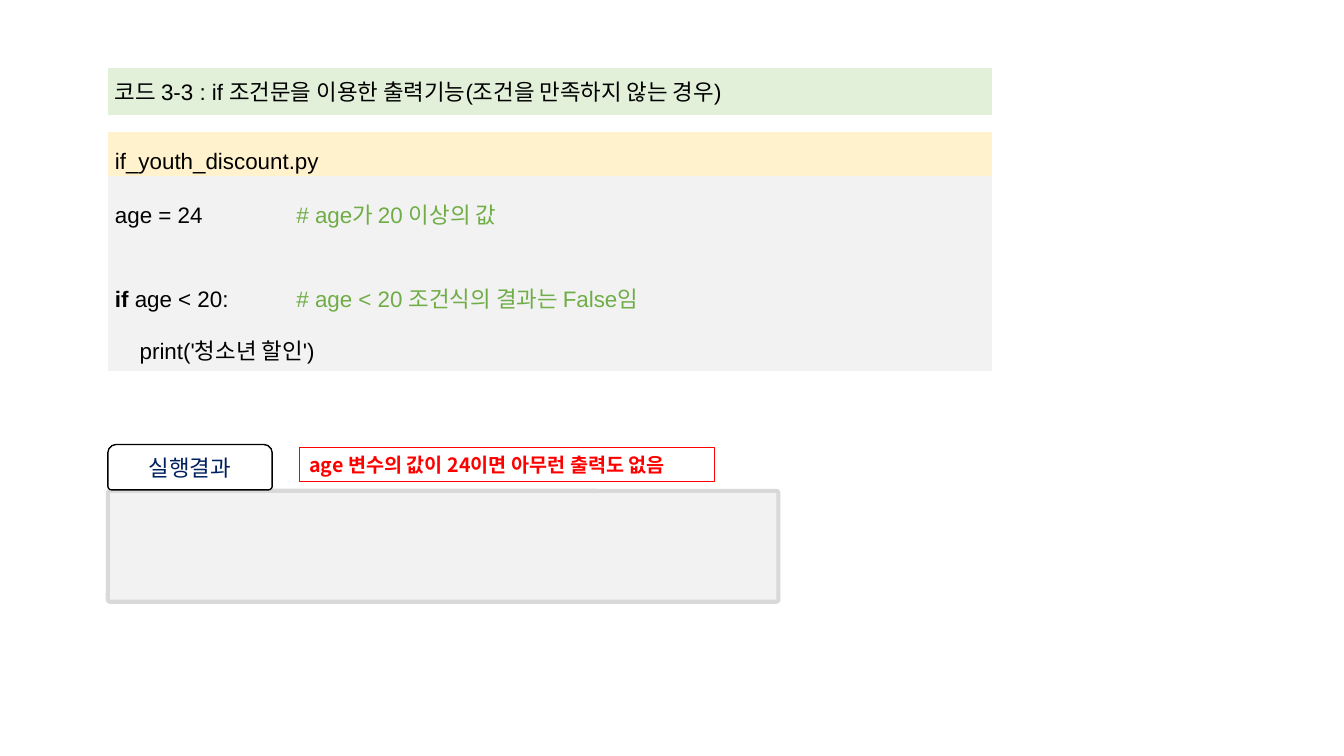
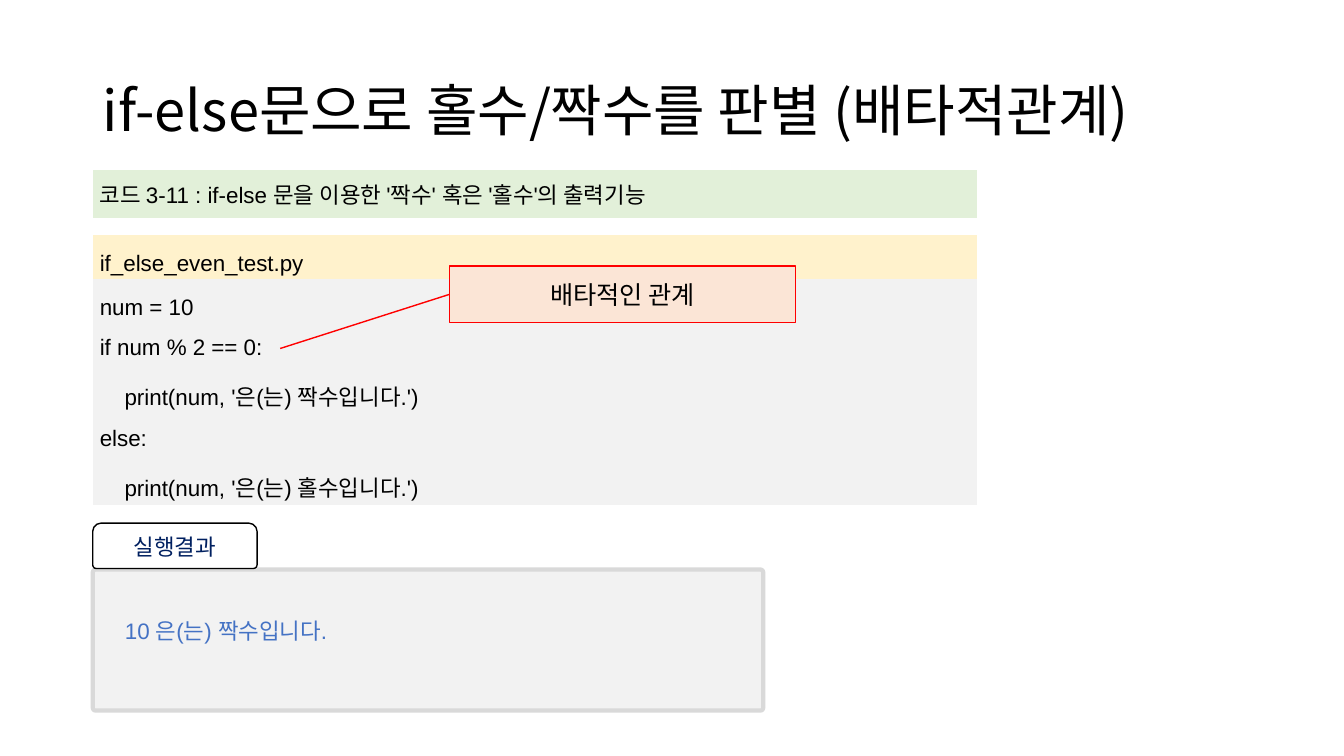
from lxml.etree import SubElement
from pptx import Presentation
from pptx.dml.color import RGBColor
from pptx.enum.shapes import MSO_SHAPE
from pptx.enum.text import MSO_ANCHOR, MSO_AUTO_SIZE, PP_ALIGN
from pptx.oxml.ns import qn
from pptx.util import Inches, Pt

BLACK = RGBColor(0x00, 0x00, 0x00)
WHITE = RGBColor(0xFF, 0xFF, 0xFF)
RED = RGBColor(0xFF, 0x00, 0x00)
NAVY = RGBColor(0x00, 0x20, 0x60)
BLUE = RGBColor(0x44, 0x72, 0xC4)
COMMENT_GREEN = RGBColor(0x70, 0xAD, 0x47)
CAPTION_GREEN = RGBColor(0xE2, 0xF0, 0xD9)
FILE_YELLOW = RGBColor(0xFF, 0xF2, 0xCC)
PANEL_GRAY = RGBColor(0xF2, 0xF2, 0xF2)
BORDER_GRAY = RGBColor(0xD9, 0xD9, 0xD9)
CALLOUT_PEACH = RGBColor(0xFB, 0xE5, 0xD6)

CODE_FONT = "Arial"
KOREAN_FONT = "Noto Sans CJK KR"
NO_GRID_STYLE = "{2D5ABB26-0587-4C30-8999-92F81FD0307C}"

CODE = {"size": Pt(16), "name": CODE_FONT}
KEYWORD = {**CODE, "bold": True}
COMMENT = {**CODE, "color": COMMENT_GREEN}
OUTPUT = {**CODE, "color": BLUE}
TITLE = {"size": Pt(40), "name": KOREAN_FONT}
TAB_LABEL = {"size": Pt(16), "name": KOREAN_FONT, "color": NAVY}
NOTE = {"size": Pt(14), "name": KOREAN_FONT, "color": RED, "bold": True}
CALLOUT = {"size": Pt(18), "name": KOREAN_FONT}

LOOSE = {"line_spacing": 1.5}
JUSTIFIED = {"line_spacing": 1.6, "alignment": PP_ALIGN.JUSTIFY}
CENTERED = {"alignment": PP_ALIGN.CENTER}

TABLE_WIDTH = 8.77
ROW_HEIGHTS = (0.47, 0.17, 0.43, 1.94)
TAB_WIDTH, TAB_HEIGHT = 1.63, 0.45
PANEL_OFFSET, PANEL_WIDTH = 0.46, 6.65
COMMENT_STOP = 1.8


def set_attributes(target, values):
    for name, value in values.items():
        setattr(target, name, value)


def add_span(para, text, style):
    span = para.add_run()
    span.text = text
    values = dict(style)
    span.font.color.rgb = values.pop("color", BLACK)
    set_attributes(span.font, values)
    SubElement(span.font._element, qn("a:ea")).set("typeface", KOREAN_FONT)


def add_tab_stop(para, inches):
    tabs = SubElement(para._p.get_or_add_pPr(), qn("a:tabLst"))
    stop = SubElement(tabs, qn("a:tab"))
    stop.set("pos", str(Inches(inches)))
    stop.set("algn", "l")


def write_lines(frame, lines):
    """Write lines given as (paragraph format, [(text, style), ...])."""
    for index, (layout, spans) in enumerate(lines):
        para = frame.add_paragraph() if index else frame.paragraphs[0]
        set_attributes(para, layout)
        if any("\t" in text for text, _ in spans):
            add_tab_stop(para, COMMENT_STOP)
        for text, style in spans:
            add_span(para, text, style)


def add_box(slide, kind, place, fill, line, width, lines=()):
    box = slide.shapes.add_shape(kind, *map(Inches, place))
    box.shadow.inherit = False
    box.fill.solid()
    box.fill.fore_color.rgb = fill
    box.line.color.rgb = line
    box.line.width = Pt(width)
    box.text_frame.vertical_anchor = MSO_ANCHOR.MIDDLE
    write_lines(box.text_frame, lines)
    return box


def set_adjustments(box, values):
    for index, value in enumerate(values):
        box.adjustments[index] = value


def add_code_table(slide, left, top, caption, file_name, code_lines):
    frame = slide.shapes.add_table(
        len(ROW_HEIGHTS), 1, Inches(left), Inches(top),
        Inches(TABLE_WIDTH), Inches(sum(ROW_HEIGHTS)))
    table = frame.table
    table.first_row = table.horz_banding = False
    table._tbl.tblPr.find(qn("a:tableStyleId")).text = NO_GRID_STYLE
    contents = (
        (CAPTION_GREEN, [({}, [(caption, CODE)])]),
        (None, []),
        (FILE_YELLOW, [(JUSTIFIED, [(file_name, CODE)])]),
        (PANEL_GRAY, code_lines),
    )
    for row, height, (fill, lines) in zip(table.rows, ROW_HEIGHTS, contents):
        row.height = Inches(height)
        cell = row.cells[0]
        cell.vertical_anchor = MSO_ANCHOR.MIDDLE
        cell.margin_left = cell.margin_right = Inches(0.07)
        cell.margin_top = cell.margin_bottom = Inches(0.02)
        if fill is None:
            cell.fill.background()
            # A small end mark lets the spacer row keep its height.
            cell.text_frame.paragraphs[0]._p.get_or_add_endParaRPr().set("sz", "500")
        else:
            cell.fill.solid()
            cell.fill.fore_color.rgb = fill
            write_lines(cell.text_frame, lines)


def add_result_panel(slide, left, top, height):
    panel = add_box(slide, MSO_SHAPE.ROUNDED_RECTANGLE,
                    (left, top + PANEL_OFFSET, PANEL_WIDTH, height),
                    PANEL_GRAY, BORDER_GRAY, 3)
    set_adjustments(panel, [0.02])
    tab = add_box(slide, MSO_SHAPE.ROUND_2_SAME_RECTANGLE,
                  (left, top, TAB_WIDTH, TAB_HEIGHT), WHITE, BLACK, 1,
                  [(CENTERED, [("실행결과", TAB_LABEL)])])
    set_adjustments(tab, [0.18, 0.08])


def add_note(slide, place, text):
    note = add_box(slide, MSO_SHAPE.RECTANGLE, place, WHITE, RED, 0.75,
                   [({"alignment": PP_ALIGN.LEFT}, [(text, NOTE)])])
    set_attributes(note.text_frame, {"word_wrap": False,
                                     "vertical_anchor": MSO_ANCHOR.TOP})


def add_output(slide, place, text):
    box = slide.shapes.add_textbox(*map(Inches, place))
    box.text_frame.word_wrap = True
    write_lines(box.text_frame, [(LOOSE, [(text, OUTPUT)])])


def add_callout(slide, place, text, pointer):
    callout = add_box(slide, MSO_SHAPE.LINE_CALLOUT_1, place, CALLOUT_PEACH,
                      RED, 1, [(CENTERED, [(text, CALLOUT)])])
    set_adjustments(callout, pointer)


def set_title(slide, text):
    title = slide.shapes.title
    place = {"left": 0.92, "top": 0.4, "width": 11.5, "height": 1.45}
    set_attributes(title, {name: Inches(value) for name, value in place.items()})
    set_attributes(title.text_frame, {"vertical_anchor": MSO_ANCHOR.MIDDLE,
                                      "auto_size": MSO_AUTO_SIZE.NONE,
                                      "word_wrap": True})
    write_lines(title.text_frame, [
        ({"line_spacing": 0.9, "alignment": PP_ALIGN.LEFT}, [(text, TITLE)])])


def build_discount_slide(deck):
    slide = deck.slides.add_slide(deck.slide_layouts[6])
    left = 1.07
    add_code_table(
        slide, left, 0.67,
        "코드 3-3 : if 조건문을 이용한 출력기능(조건을 만족하지 않는 경우)",
        "if_youth_discount.py",
        [
            (LOOSE, [("age = 24\t", CODE), ("# age가 20 이상의 값", COMMENT)]),
            ({**LOOSE, "space_before": Pt(26)},
             [("if", KEYWORD), (" age < 20:\t", CODE),
              ("# age < 20 조건식의 결과는 False임", COMMENT)]),
            (JUSTIFIED, [("    print('청소년 할인')", CODE)]),
        ])
    add_result_panel(slide, left, 4.41, 1.1)
    add_note(slide, (2.97, 4.44, 4.12, 0.34),
             "age 변수의 값이 24이면 아무런 출력도 없음")


def build_even_test_slide(deck):
    slide = deck.slides.add_slide(deck.slide_layouts[5])
    left = 0.92
    code = (
        "num = 10",
        "if num % 2 == 0:",
        "    print(num, '은(는) 짝수입니다.')",
        "else:",
        "    print(num, '은(는) 홀수입니다.')",
    )
    set_title(slide, "if-else문으로 홀수/짝수를 판별 (배타적관계)")
    add_code_table(
        slide, left, 1.69,
        "코드 3-11 : if-else 문을 이용한 '짝수' 혹은 '홀수'의 출력기능",
        "if_else_even_test.py",
        [(JUSTIFIED, [(line, CODE)]) for line in code])
    add_result_panel(slide, left, 5.19, 1.4)
    add_output(slide, (1.14, 5.94, 6.06, 0.46), "10 은(는) 짝수입니다.")
    add_callout(slide, (4.46, 2.64, 3.43, 0.56), "배타적인 관계",
                (0.5, 0, 1.46, -0.49))


def main():
    deck = Presentation()
    deck.slide_width = Inches(13.33)
    deck.slide_height = Inches(7.5)
    build_discount_slide(deck)
    build_even_test_slide(deck)
    deck.save("out.pptx")


if __name__ == "__main__":
    main()
